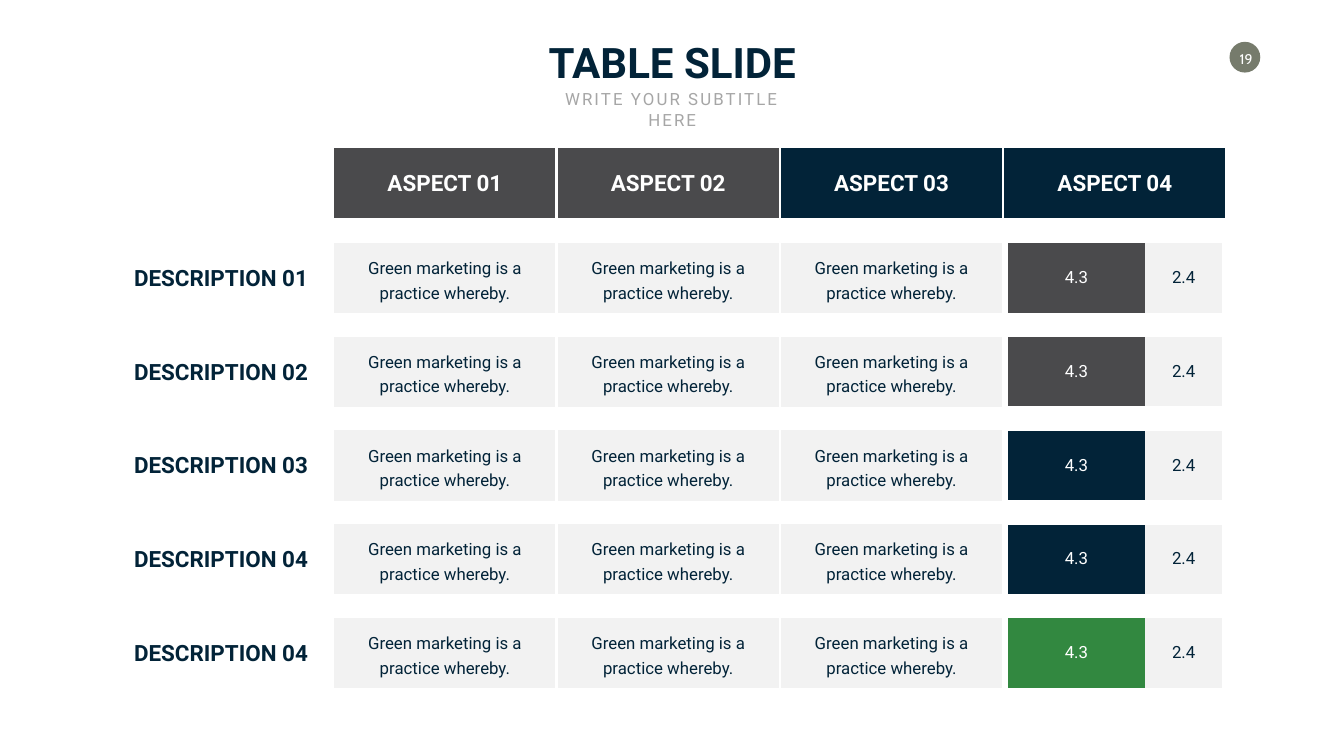
from pptx import Presentation
from pptx.chart.data import CategoryChartData
from pptx.dml.color import RGBColor
from pptx.enum.chart import XL_CHART_TYPE, XL_LABEL_POSITION
from pptx.enum.shapes import MSO_SHAPE
from pptx.enum.text import MSO_ANCHOR, MSO_AUTO_SIZE, PP_ALIGN
from pptx.util import Inches, Pt

RECTANGLE, OVAL = MSO_SHAPE.RECTANGLE, MSO_SHAPE.OVAL
TOP, MIDDLE = MSO_ANCHOR.TOP, MSO_ANCHOR.MIDDLE
CENTER, RIGHT = PP_ALIGN.CENTER, PP_ALIGN.RIGHT
GROW = MSO_AUTO_SIZE.SHAPE_TO_FIT_TEXT
STACKED_BAR = XL_CHART_TYPE.BAR_STACKED_100
LABEL_CENTER = XL_LABEL_POSITION.CENTER

PAGE_WIDTH, PAGE_HEIGHT = 26.66, 15
GRID_LEFT, GRID_TOP = 6.61, 4.8
COLUMN, ROW = 4.43, 1.86
HEADER_ROW = -1.01
CELL_HEIGHT = 0.77

NAVY, GRAY, GREEN = "022338", "4A4A4C", "328840"
WHITE, PALE, SILVER, OLIVE = "FFFFFF", "F2F2F2", "A6A6A6", "767B6C"

ASPECTS = [("ASPECT 01", GRAY), ("ASPECT 02", GRAY),
           ("ASPECT 03", NAVY), ("ASPECT 04", NAVY)]
DESCRIPTIONS = [("DESCRIPTION 01", GRAY), ("DESCRIPTION 02", GRAY),
                ("DESCRIPTION 03", NAVY), ("DESCRIPTION 04", NAVY),
                ("DESCRIPTION 04", GREEN)]
CELL_TEXT = "Green marketing is a practice whereby."
SHARES = (4.3, 2.4)


def color(value):
    return RGBColor.from_string(value)


def on_page(left, top, width, height):
    return (Inches(PAGE_WIDTH * left / 100), Inches(PAGE_HEIGHT * top / 100),
            Inches(PAGE_WIDTH * width / 100), Inches(PAGE_HEIGHT * height / 100))


def in_grid(column, row, width=1, height=CELL_HEIGHT):
    return (Inches(GRID_LEFT + COLUMN * column), Inches(GRID_TOP + ROW * row),
            Inches(COLUMN * width), Inches(ROW * height))


class SlidePainter:
    font = "Roboto"

    def __init__(self, slide):
        self.slide = slide

    def style(self, font, size, tint, bold=False, name=None):
        font.name = name or self.font
        font.size = Pt(size)
        font.bold = bold
        font.color.rgb = color(tint)

    def block(self, place, fill, kind=RECTANGLE, border=None):
        shape = self.slide.shapes.add_shape(kind, *place)
        shape.shadow.inherit = False
        shape.fill.solid()
        shape.fill.fore_color.rgb = color(fill)
        if border:
            shape.line.color.rgb = color(border)
            shape.line.width = Pt(3)
        else:
            shape.line.fill.background()

    def text(self, place, words, size, tint, bold=False, align=CENTER, anchor=MIDDLE,
             wrap=False, leading=None, tracking=None, inset=True, name=None):
        frame = self.slide.shapes.add_textbox(*place).text_frame
        frame.text = words
        frame.word_wrap = wrap
        frame.auto_size = GROW
        frame.vertical_anchor = anchor
        if not inset:
            frame.margin_left = frame.margin_right = 0
            frame.margin_top = frame.margin_bottom = 0
        para = frame.paragraphs[0]
        para.alignment = align
        if leading:
            para.line_spacing = Pt(leading)
        span = para.runs[0]
        self.style(span.font, size, tint, bold, name)
        if tracking:
            span._r.get_or_add_rPr().set("spc", str(tracking * 100))

    def share_bar(self, place, lead_fill):
        data = CategoryChartData()
        data.categories = ["1"]
        for number, share in enumerate(SHARES, 1):
            data.add_series(f"Series {number}", [share])
        chart = self.slide.shapes.add_chart(STACKED_BAR, *place, data).chart
        chart.has_legend = False
        chart.has_title = False
        self.style(chart.font, 24, NAVY)
        for axis in (chart.category_axis, chart.value_axis):
            axis.has_major_gridlines = False
            axis.visible = False
        plot = chart.plots[0]
        plot.gap_width = 0
        plot.overlap = 100
        plot.vary_by_categories = False
        for series, fill, tint in zip(plot.series, (lead_fill, PALE), (WHITE, NAVY)):
            series.format.fill.solid()
            series.format.fill.fore_color.rgb = color(fill)
            labels = series.data_labels
            labels.show_value = True
            labels.position = LABEL_CENTER
            self.style(labels.font, 24, tint)


def main():
    deck = Presentation()
    deck.slide_width, deck.slide_height = Inches(PAGE_WIDTH), Inches(PAGE_HEIGHT)
    painter = SlidePainter(deck.slides.add_slide(deck.slide_layouts[6]))

    painter.block(on_page(91.48, 5.53, 2.29, 4.07), OLIVE, OVAL)
    painter.text(on_page(91.94, 6.6, 1.54, 2.27), "19", 20, WHITE, inset=False, name="Cabin")
    painter.text(on_page(40.36, 4.47, 19.32, 7.4), "TABLE SLIDE", 60, NAVY,
                 bold=True, anchor=TOP)
    painter.text(on_page(39.83, 11.47, 20.37, 3.33), "WRITE YOUR SUBTITLE HERE", 24, SILVER,
                 anchor=TOP, wrap=True, tracking=3)

    for column, (aspect, fill) in enumerate(ASPECTS):
        painter.block(in_grid(column, HEADER_ROW), fill, border=WHITE)
        painter.text(in_grid(column + 0.2, HEADER_ROW + 0.21, 0.6, 0.34), aspect, 32, WHITE,
                     bold=True)

    for row, (description, lead_fill) in enumerate(DESCRIPTIONS):
        painter.text(in_grid(-0.96, row + 0.21, 0.87, 0.34), description, 32, NAVY,
                     bold=True, align=RIGHT)
        for column in range(3):
            painter.block(in_grid(column, row), PALE, border=WHITE)
            painter.text(in_grid(column + 0.06, row + 0.11, 0.88, 0.55), CELL_TEXT, 24, NAVY,
                         wrap=True, leading=35)
        painter.share_bar(in_grid(3, row), lead_fill)

    deck.save("out.pptx")


if __name__ == "__main__":
    main()
